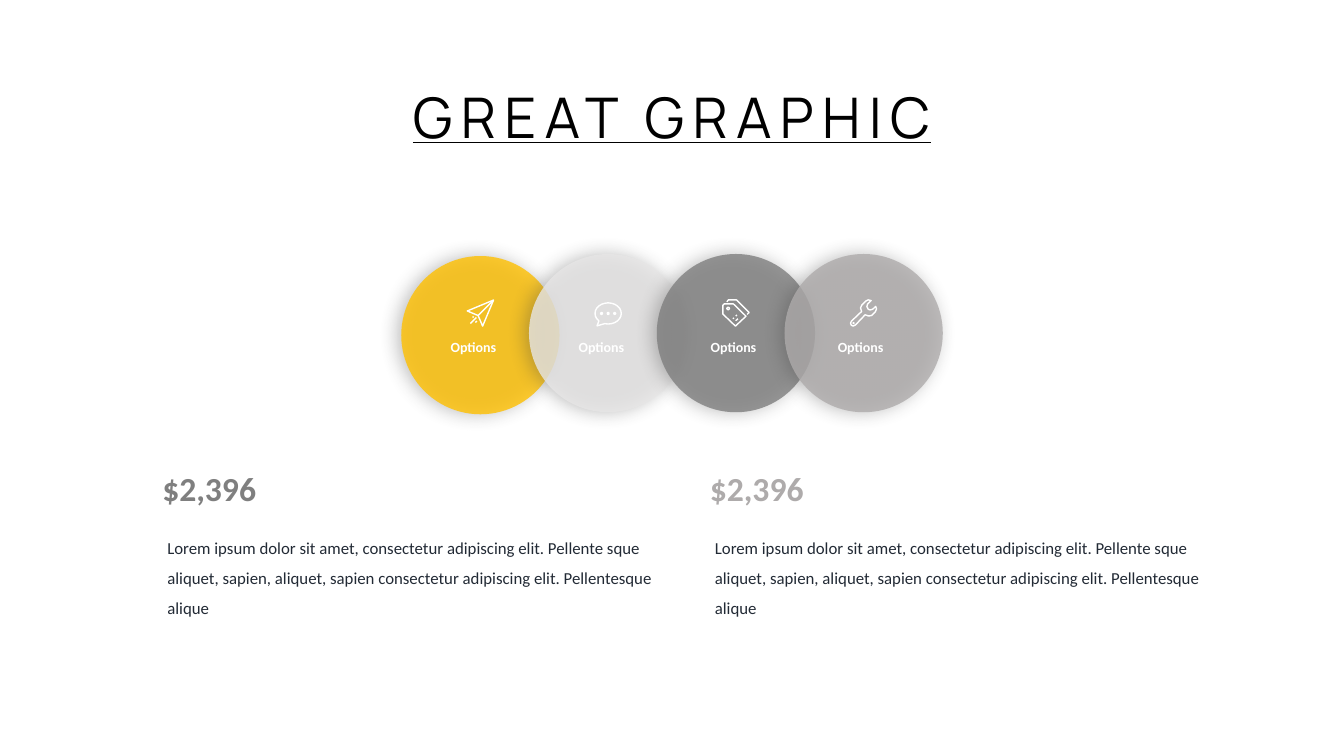
"""Build a slide with four overlapping option circles above two priced text columns."""
from math import cos, radians, sin

from lxml.etree import SubElement
from pptx import Presentation
from pptx.dml.color import RGBColor
from pptx.enum.shapes import MSO_SHAPE
from pptx.enum.text import MSO_ANCHOR, MSO_AUTO_SIZE, PP_ALIGN
from pptx.oxml import parse_xml
from pptx.oxml.ns import nsdecls, qn
from pptx.util import Inches, Pt


def write(shape, text, box, color, size, font="Calibri", align=PP_ALIGN.LEFT, spacing=1.0,
          anchor=MSO_ANCHOR.TOP, wrap=True, **font_values):
    """Place a text shape and give it one formatted paragraph."""
    shape.left, shape.top, shape.width, shape.height = map(Inches, box)
    frame = shape.text_frame
    frame.text = text
    paragraph = frame.paragraphs[0]
    run_font = paragraph.runs[0].font
    run_font.color.rgb = RGBColor.from_string(color)
    formats = {
        frame: {"word_wrap": wrap, "auto_size": MSO_AUTO_SIZE.NONE, "vertical_anchor": anchor},
        paragraph: {"alignment": align, "line_spacing": spacing, "space_before": Pt(0)},
        run_font: {"name": font, "size": Pt(size), **font_values},
    }
    for target, values in formats.items():
        for name, value in values.items():
            setattr(target, name, value)
    return paragraph


def arc(center_x, center_y, radius_x, radius_y, start=0, end=345):
    """Return points along an ellipse, one every 15 degrees."""
    return [(center_x + radius_x * cos(radians(angle)), center_y + radius_y * sin(radians(angle)))
            for angle in range(start, end + 1, 15)]


presentation = Presentation()
presentation.slide_width, presentation.slide_height = Inches(13.33), Inches(7.5)
slide = presentation.slides.add_slide(presentation.slide_layouts.get_by_name("Comparison"))
shapes = slide.shapes

title = write(shapes.title, "GREAT GRAPHIC", (3.78, 0.77, 5.77, 0.77), "000000", 40, "Manrope",
              PP_ALIGN.CENTER, anchor=MSO_ANCHOR.MIDDLE, wrap=False, underline=True, bold=False)
title.runs[0].font._element.set("spc", "600")

# Icon strokes are (closed, points) pairs in hundredths of an inch.
plane = [
    (True, [(0.5, 11.5), (26.5, 0.7), (15.7, 26.5), (11.2, 16)]),
    (False, [(11.2, 16), (26.5, 0.7)]),
    (False, [(10, 21.5), (8.5, 23)]),
    (False, [(9.5, 18), (3.5, 24)]),
    (False, [(6.8, 17), (5.8, 18)]),
]
bubble = [(True, arc(13.5, 14, 13, 10.5, 135, 465) + [(2.5, 26.3)])]
bubble += [(True, arc(x, 14, 0.9, 0.9)) for x in (7, 13.5, 20)]
tags = [
    (True, [(0.5, 6), (2, 4.5), (11, 4.5), (23.5, 16.7), (13, 26.5), (0.5, 14.5)]),
    (False, [(4.5, 2.5), (6, 0.5), (14, 0.5), (26.5, 13), (24.5, 15)]),
    (True, arc(5.8, 9, 1.2, 1.2)),
    (False, [(13.3, 21.2), (15.5, 19.2)]),
    (False, [(10.5, 19.2), (11.5, 18.5)]),
    (False, [(13.3, 16.5), (14.5, 15.5)]),
]
wrench = [
    (True, [(21, 1.2), (17.5, 4.5), (16.7, 7), (18, 9.8), (20, 10.5), (22.5, 9.8), (25.5, 7),
            (26.3, 9.5), (25, 12.5), (21.5, 16), (18.5, 16.5), (15, 15.3), (5.5, 25.3), (3, 26.5),
            (1.2, 25.5), (0.5, 23.5), (1.5, 21.5), (11.5, 12), (10.4, 8.5), (11.7, 5.7),
            (15.5, 1.8), (18, 0.5)]),
    (True, arc(3.5, 23.5, 0.4, 0.4)),
]

options = [
    ("FFC000", 2.54, 4.19, plane),
    ("E7E6E6", 2.52, 5.46, bubble),
    ("7F7F7F", 2.52, 6.77, tags),
    ("AEABAB", 2.52, 8.03, wrench),
]
diameter, pitch, icon_offset = 1.57, 1.267, 0.65
for index, (color, top, label_left, strokes) in enumerate(options):
    left = 3.98 + index * pitch
    circle = shapes.add_shape(MSO_SHAPE.OVAL, Inches(left), Inches(top),
                              Inches(diameter), Inches(diameter))
    circle.fill.solid()
    circle.fill.fore_color.rgb = RGBColor.from_string(color)
    circle.line.fill.background()
    fill_color = circle._element.spPr.find(qn("a:solidFill"))[0]
    SubElement(fill_color, qn("a:alpha"), val="80000")
    circle._element.spPr.append(parse_xml(
        f'<a:effectLst {nsdecls("a")}><a:outerShdw blurRad="{Pt(13)}" dist="{Pt(3)}" '
        'dir="10800000" algn="ctr" rotWithShape="0"><a:srgbClr val="404040">'
        '<a:alpha val="40000"/></a:srgbClr></a:outerShdw></a:effectLst>'))

for index, (color, top, label_left, strokes) in enumerate(options):
    builder = shapes.build_freeform(scale=Inches(1) / 1000)
    for closed, points in strokes:
        (start_x, start_y), *others = [(x * 10, y * 10) for x, y in points]
        builder.move_to(start_x, start_y)
        builder.add_line_segments(others, close=closed)
    icon_left = 3.98 + index * pitch + icon_offset
    icon = builder.convert_to_shape(Inches(icon_left), Inches(2.97))
    icon.shadow.inherit = False
    icon.fill.background()
    icon.line.color.rgb = RGBColor.from_string("FFFFFF")
    icon.line.width = Pt(1)
    write(shapes.add_textbox(0, 0, 0, 0), "Options", (label_left, 3.31, 1.01, 0.27),
          "FFFFFF", 10, align=PP_ALIGN.CENTER, bold=True)

description = ("Lorem ipsum dolor sit amet, consectetur adipiscing elit. Pellente sque aliquet, "
               "sapien, aliquet, sapien consectetur adipiscing elit. Pellentesque alique")
placeholders = slide.placeholders
for left, color, price_index in [(1.51, "7F7F7F", 1), (6.94, "AEABAB", 3)]:
    price = write(placeholders[price_index], "$2,396", (left, 4.59, 1.58, 0.5), color, 24, bold=True)
    body = write(placeholders[price_index + 1], description, (left + 0.05, 5.18, 5.22, 0.98),
                 "222A35", 12, spacing=1.5)
    for paragraph in (price, body):
        properties = paragraph._p.get_or_add_pPr()
        properties.set("marL", "0")
        properties.set("indent", "0")
        SubElement(properties, qn("a:buNone"))

presentation.save("out.pptx")
